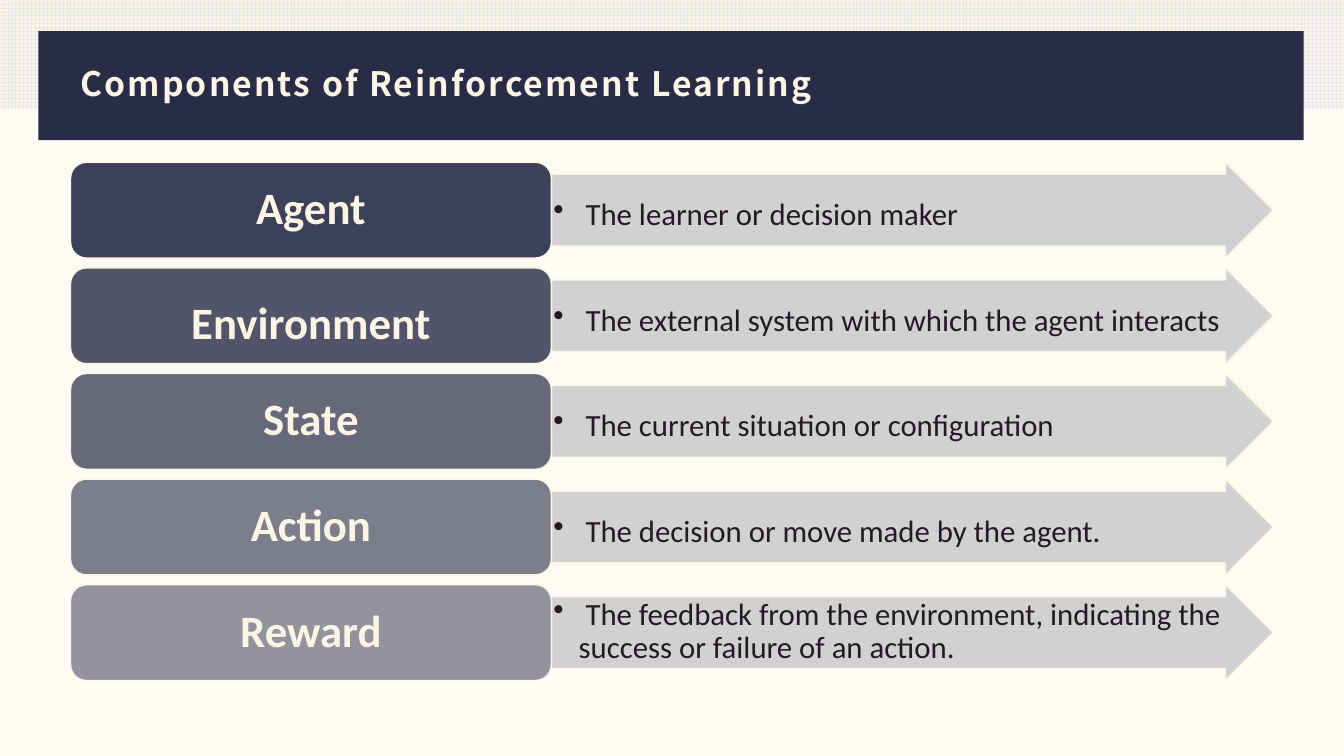
from dataclasses import dataclass

from lxml.etree import SubElement
from pptx import Presentation
from pptx.dml.color import RGBColor
from pptx.enum.dml import MSO_PATTERN
from pptx.enum.shapes import MSO_SHAPE as Geo
from pptx.enum.text import MSO_ANCHOR as Anchor, PP_ALIGN as Align
from pptx.oxml.ns import qn
from pptx.util import Inches, Pt

COLORS = {
    "paper": "FEFBF5",
    "cream": "FCF5E5",
    "grid": "E5E7F1",
    "navy": "282C47",
    "arrow": "CDCDCF",
    "ink": "231B23",
}
WIDTH, HEIGHT = Inches(13.33), Inches(7.5)
LEFT, LABEL_W, ARROW_W = 5.25, 35.78, 53.71
TOP, PITCH, ROW_H = 21.47, 13.97, 12.67


@dataclass(frozen=True)
class Box:
    x: float
    y: float
    w: float
    h: float

    def emu(self) -> tuple[int, ...]:
        shares = ((self.x, WIDTH), (self.y, HEIGHT), (self.w, WIDTH), (self.h, HEIGHT))
        return tuple(round(share * size / 100) for share, size in shares)


@dataclass(frozen=True)
class Component:
    name: str
    detail: str
    name_spacing: float = 0.9
    detail_spacing: float = 1.5


COMPONENTS = [
    Component("Agent", " The learner or decision maker"),
    Component("Environment", " The external system with which the agent interacts", name_spacing=1.2),
    Component("State", " The current situation or configuration"),
    Component("Action", " The decision or move made by the agent."),
    Component(
        "Reward",
        " The feedback from the environment, indicating the success or failure of an action.",
        detail_spacing=0.9,
    ),
]


def rgb(name: str) -> RGBColor:
    return RGBColor.from_string(COLORS[name])


def add_shape(slide, geo, box: Box, fill: str, opacity: int = 100, line: str | None = None):
    sp = slide.shapes.add_shape(geo, *box.emu())
    sp.shadow.inherit = False
    sp.fill.solid()
    sp.fill.fore_color.rgb = rgb(fill)
    if opacity < 100:
        color = sp.element.spPr.find(qn("a:solidFill"))[0]
        SubElement(color, qn("a:alpha"), val=str(opacity * 1000))
    if line:
        sp.line.color.rgb = rgb(line)
        sp.line.width = Pt(1)
    else:
        sp.line.fill.background()
    return sp


def write(sp, text: str, *, size: float, color: str, font: str = "Calibri", bold: bool = False,
          align=Align.LEFT, anchor=Anchor.MIDDLE, spacing: float = 0.9,
          inset: tuple[float, float] = (0.1, 0.05), tracking: float = 0, bullet: bool = False) -> None:
    tf = sp.text_frame
    tf.word_wrap = True
    tf.vertical_anchor = anchor
    tf.margin_left = tf.margin_right = Inches(inset[0])
    tf.margin_top = tf.margin_bottom = Inches(inset[1])
    p = tf.paragraphs[0]
    p.alignment = align
    p.line_spacing = spacing
    if bullet:
        pPr = p._p.get_or_add_pPr()
        pPr.set("marL", str(Inches(0.25)))
        pPr.set("indent", str(-Inches(0.25)))
        SubElement(pPr, qn("a:buChar"), char="•")
    r = p.add_run()
    r.text = text
    r.font.size = Pt(size)
    r.font.name = font
    r.font.bold = bold
    r.font.color.rgb = rgb(color)
    if tracking:
        r._r.get_or_add_rPr().set("spc", str(round(tracking * 100)))


def add_header(slide, title: str) -> None:
    strip = add_shape(slide, Geo.RECTANGLE, Box(0, 0, 100, 14.4), "cream")
    strip.fill.patterned()
    strip.fill.pattern = MSO_PATTERN.LARGE_GRID
    strip.fill.fore_color.rgb = rgb("grid")
    strip.fill.back_color.rgb = rgb("cream")
    add_shape(slide, Geo.RECTANGLE, Box(2.85, 4.13, 94.15, 14.4), "navy")
    sp = slide.shapes.add_textbox(*Box(LEFT, 7.07, 89.5, 8.53).emu())
    write(sp, title, size=24, color="cream", font="Noto Sans CJK JP", bold=True, tracking=1.5)


def add_component(slide, row: int, item: Component) -> None:
    y = TOP + row * PITCH
    arrow = add_shape(slide, Geo.RIGHT_ARROW, Box(LEFT + LABEL_W, y, ARROW_W, ROW_H),
                      "arrow", opacity=90, line="cream")
    arrow.adjustments[0] = 0.75
    write(arrow, item.detail, size=22, color="ink", anchor=Anchor.TOP,
          spacing=item.detail_spacing, inset=(0.02, 0.02), bullet=True)
    label = add_shape(slide, Geo.ROUNDED_RECTANGLE, Box(LEFT, y, LABEL_W, ROW_H),
                      "navy", opacity=90 - 10 * row, line="cream")
    write(label, item.name, size=32, color="cream", bold=True, align=Align.CENTER,
          spacing=item.name_spacing, inset=(0.13, 0.07))


def main() -> None:
    prs = Presentation()
    prs.slide_width, prs.slide_height = WIDTH, HEIGHT
    slide = prs.slides.add_slide(prs.slide_layouts[6])
    slide.background.fill.solid()
    slide.background.fill.fore_color.rgb = rgb("paper")
    add_header(slide, "Components of Reinforcement Learning")
    for row, item in enumerate(COMPONENTS):
        add_component(slide, row, item)
    prs.save("out.pptx")


if __name__ == "__main__":
    main()
